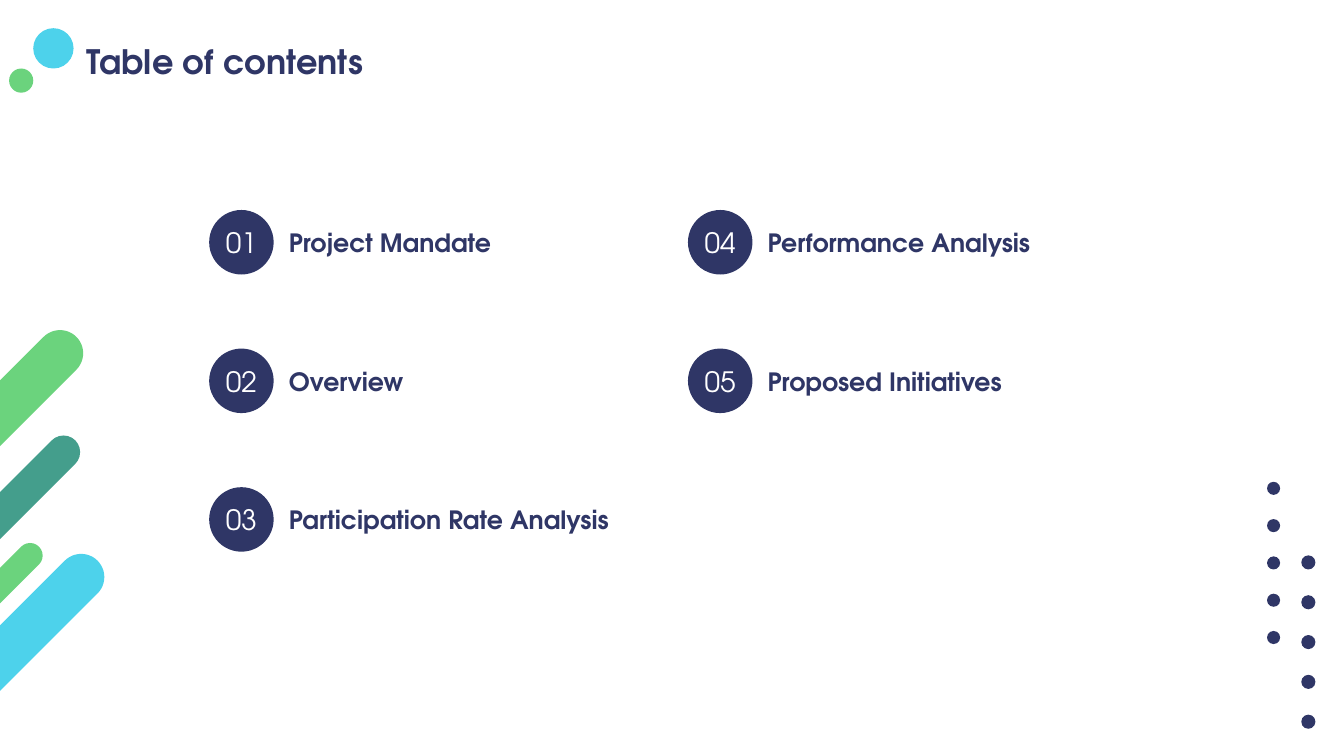
from pptx import Presentation
from pptx.dml.color import RGBColor as RGB
from pptx.enum.shapes import MSO_SHAPE as Kind
from pptx.enum.text import MSO_ANCHOR as Anchor, PP_ALIGN as Align
from pptx.util import Inches, Pt

COLS, ROWS = 160, 90
FONT = "TeX Gyre Adventor"
HUES = {"navy": "2F3666", "sky": "4DD2EB", "green": "6BD37D",
        "teal": "449E8C", "white": "FFFFFF"}
BARS = [(-3.24, 81.6, 5.52, 42, "sky"), (-5.76, 54.96, 5.52, 42, "green"),
        (-1.74, 63.12, 3.96, 30.24, "teal"), (-3.3, 73.02, 3, 22.44, "green")]
DOTS = [(154.92, 66.12, 4.74, 1.68), (150.84, 57.36, 4.44, 1.56)]
TOPICS = ["Project Mandate", "Overview", "Participation Rate Analysis",
          "Performance Analysis", "Proposed Initiatives"]
DEEP = 3


class Deck:
    """Draws styled elements on one slide, measured in grid columns and rows."""

    def __init__(self):
        self.prs = Presentation()
        self.prs.slide_width = Inches(13.33)
        self.prs.slide_height = Inches(7.5)
        self.slide = self.prs.slides.add_slide(self.prs.slide_layouts[6])
        self.slide.background.fill.solid()
        self.slide.background.fill.fore_color.rgb = RGB.from_string(HUES["white"])

    def place(self, x, y, w, h):
        col = self.prs.slide_width / COLS
        row = self.prs.slide_height / ROWS
        return [round(v) for v in (x * col, y * row, w * col, h * row)]

    def shape(self, kind, x, y, w, h, hue):
        item = self.slide.shapes.add_shape(kind, *self.place(x, y, w, h))
        item.shadow.inherit = False
        item.fill.solid()
        item.fill.fore_color.rgb = RGB.from_string(HUES[hue])
        item.line.fill.background()
        return item

    def disc(self, x, y, size, hue="navy"):
        return self.shape(Kind.OVAL, x, y, size, size, hue)

    def bar(self, x, y, w, h, hue):
        item = self.shape(Kind.ROUNDED_RECTANGLE, x - w / 2, y - h / 2, w, h, hue)
        item.adjustments[0] = 0.5
        item.rotation = 45

    def letter(self, item, text, size, hue, pad, bold=False, align=Align.LEFT):
        frame = item.text_frame
        frame.text = text
        frame.word_wrap = True
        frame.vertical_anchor = Anchor.MIDDLE
        frame.margin_left = frame.margin_right = Inches(pad)
        frame.margin_top = frame.margin_bottom = Inches(pad)
        line = frame.paragraphs[0]
        line.alignment = align
        font = line.runs[0].font
        font.name, font.size, font.bold = FONT, Pt(size), bold
        font.color.rgb = RGB.from_string(HUES[hue])

    def label(self, x, y, w, h, text, size):
        box = self.slide.shapes.add_textbox(*self.place(x, y, w, h))
        self.letter(box, text, size, "navy", 0.13, bold=True)

    def badge(self, x, y, text):
        self.letter(self.disc(x, y, 7.68), text, 20, "white", 0.05,
                    align=Align.CENTER)


def main():
    deck = Deck()
    for bar in BARS:
        deck.bar(*bar)
    deck.label(8.76, 2.28, 138.72, 10.08, "Table of contents", 24)
    deck.disc(3.96, 3.36, 4.8, "sky")
    deck.disc(1.08, 8.16, 2.88, "green")
    for x, top, step, size in DOTS:
        for i in range(5):
            deck.disc(x, top + i * step, size)
    for i, topic in enumerate(TOPICS):
        col, row = divmod(i, DEEP)
        x, y = 24.9 + 57 * col, 25 + 16.5 * row
        deck.badge(x, y, f"{i + 1:02}")
        deck.label(x + 7.92, y - 2.3, 43, 12.36, topic, 18)
    deck.prs.save("out.pptx")


if __name__ == "__main__":
    main()
